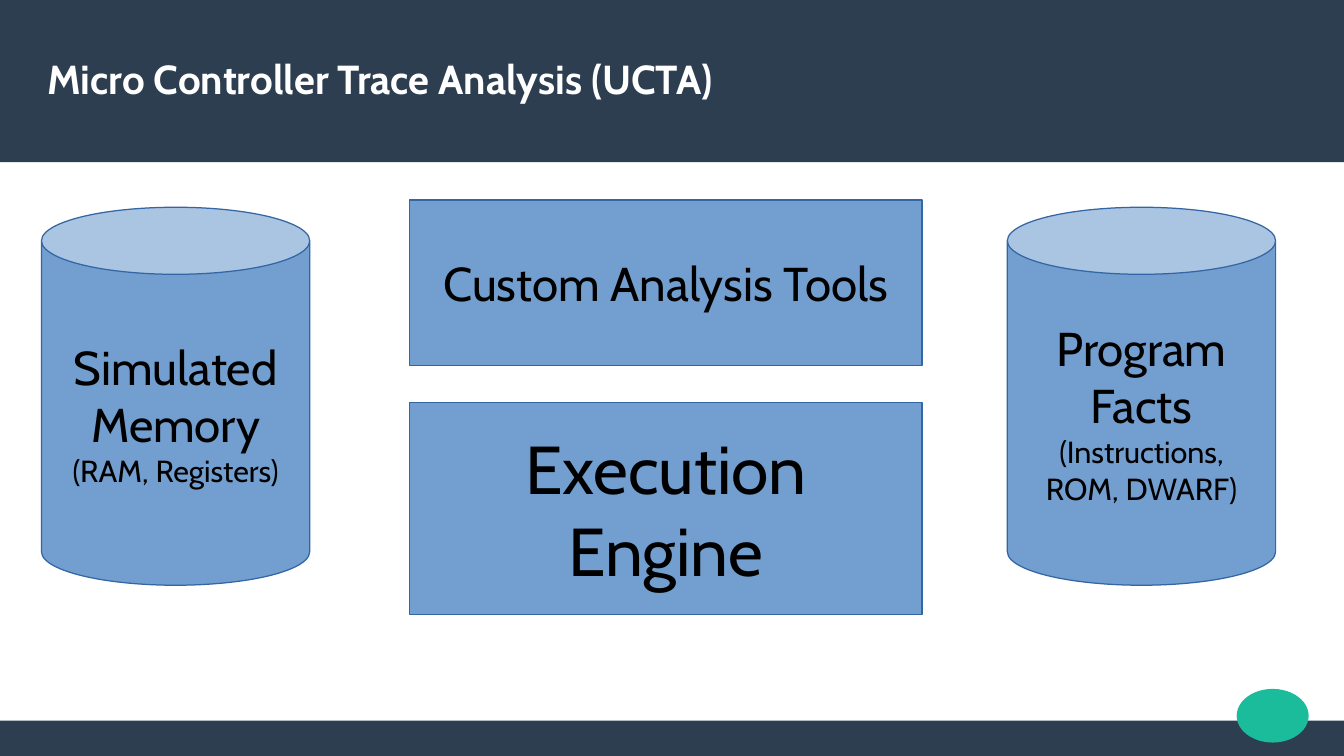
from pptx import Presentation
from pptx.dml.color import RGBColor
from pptx.enum.shapes import MSO_SHAPE
from pptx.enum.text import MSO_ANCHOR, PP_ALIGN
from pptx.util import Inches, Pt

WIDTH, HEIGHT = 11.02, 6.2
FONT = "Cabin"
COLORS = {
    "band": "2C3E50",
    "accent": "1ABC9C",
    "block": "729FCF",
    "outline": "3465A4",
    "text": "000000",
    "title": "FFFFFF",
}
TITLE = "Micro Controller Trace Analysis (UCTA)"

# kind, (left, top, width, height), color
DECORATIONS = [
    (MSO_SHAPE.RECTANGLE, (0, 5.91, WIDTH, 0.3), "band"),
    (MSO_SHAPE.RECTANGLE, (0, 0, WIDTH, 1.33), "band"),
    (MSO_SHAPE.OVAL, (10.14, 5.65, 0.59, 0.44), "accent"),
]

# kind, (left, top, width, height), lines of (text, size)
BLOCKS = [
    (MSO_SHAPE.RECTANGLE, (3.36, 3.3, 4.2, 1.74),
     [("Execution", 40), ("Engine", 40)]),
    (MSO_SHAPE.CAN, (8.26, 1.7, 2.2, 3.1),
     [("Program", 28), ("Facts", 28), ("(Instructions,", 18), ("ROM, DWARF)", 18)]),
    (MSO_SHAPE.CAN, (0.34, 1.7, 2.2, 3.1),
     [("Simulated", 28), ("Memory", 28), ("(RAM, Registers)", 18)]),
    (MSO_SHAPE.RECTANGLE, (3.36, 1.64, 4.2, 1.36),
     [("Custom Analysis Tools", 28)]),
]


def rgb(name):
    return RGBColor.from_string(COLORS[name])


def add_filled_shape(slide, kind, box, color):
    shape = slide.shapes.add_shape(kind, *map(Inches, box))
    shape.shadow.inherit = False
    shape.fill.solid()
    shape.fill.fore_color.rgb = rgb(color)
    shape.line.fill.background()
    return shape


def add_run(paragraph, text, size, color, bold=False):
    run = paragraph.add_run()
    run.text = text
    run.font.name = FONT
    run.font.size = Pt(size)
    run.font.bold = bold
    run.font.color.rgb = rgb(color)


def add_block(slide, kind, box, lines):
    shape = add_filled_shape(slide, kind, box, "block")
    shape.line.color.rgb = rgb("outline")
    shape.line.width = Pt(0)
    if kind == MSO_SHAPE.CAN:
        shape.adjustments[0] = 0.25
    frame = shape.text_frame
    frame.word_wrap = False
    frame.vertical_anchor = MSO_ANCHOR.MIDDLE
    for index, (text, size) in enumerate(lines):
        paragraph = frame.add_paragraph() if index else frame.paragraphs[0]
        paragraph.alignment = PP_ALIGN.CENTER
        add_run(paragraph, text, size, "text")


def format_title(title):
    title.left, title.top, title.width, title.height = map(
        Inches, (0.39, 0.25, 10.24, 0.79))
    frame = title.text_frame
    frame.margin_left = frame.margin_right = 0
    frame.margin_top = frame.margin_bottom = 0
    frame.word_wrap = True
    frame.vertical_anchor = MSO_ANCHOR.MIDDLE
    paragraph = frame.paragraphs[0]
    paragraph.alignment = PP_ALIGN.LEFT
    add_run(paragraph, TITLE, 23.9, "title", bold=True)
    # Bring the title in front of the header band
    title.element.getparent().append(title.element)


def main():
    presentation = Presentation()
    presentation.slide_width = Inches(WIDTH)
    presentation.slide_height = Inches(HEIGHT)
    slide = presentation.slides.add_slide(presentation.slide_layouts[5])
    for decoration in DECORATIONS:
        add_filled_shape(slide, *decoration)
    format_title(slide.shapes.title)
    for block in BLOCKS:
        add_block(slide, *block)
    presentation.save("out.pptx")


if __name__ == "__main__":
    main()
